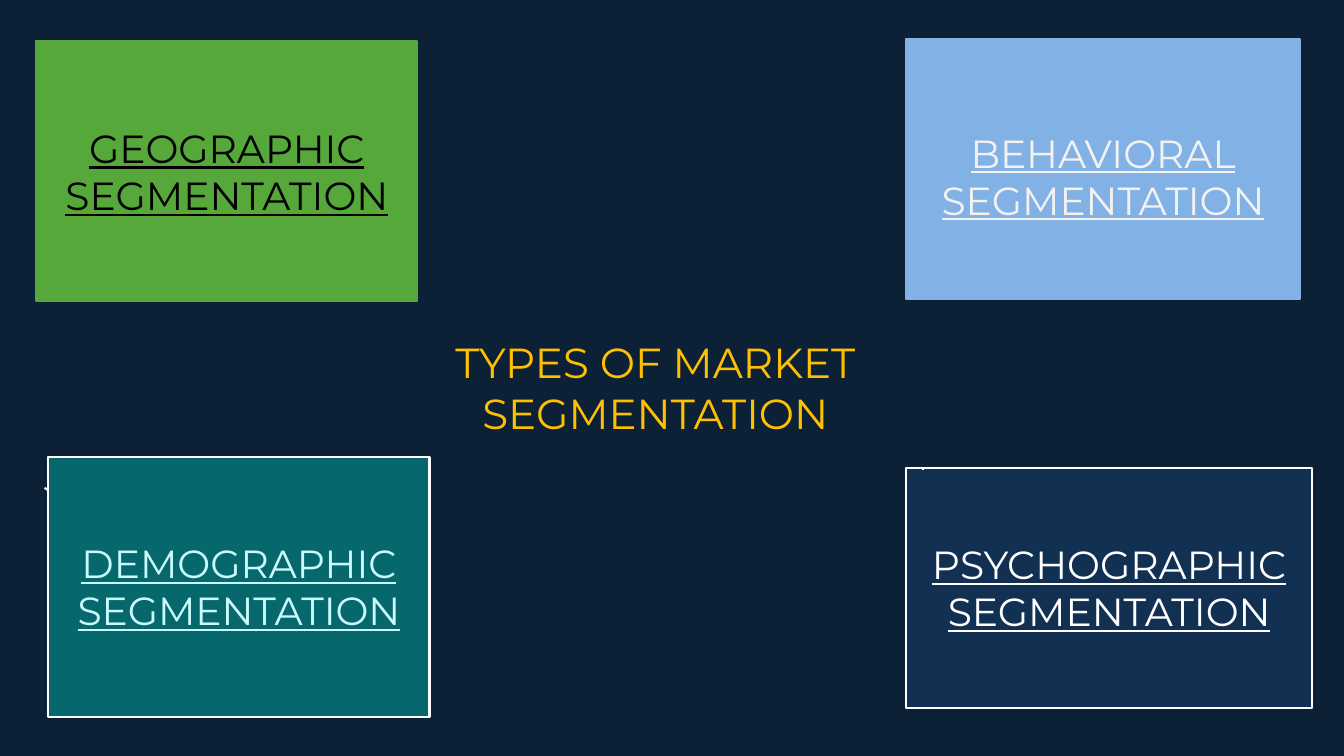
from pptx import Presentation
from pptx import util as u
from pptx.dml.color import RGBColor
from pptx.enum import shapes, text

PX = 9144
FONT = "Montserrat"
COLORS = {
    "background": "0C2036",
    "title": "FFC000",
    "blue": "82B1E5",
    "green": "55A839",
    "navy": "113052",
    "teal": "06686C",
    "white": "FFFFFF",
    "pale": "F2F2F2",
    "black": "000000",
    "aqua": "C9FAFC",
}
RECTANGLE = shapes.MSO_SHAPE.RECTANGLE
CALLOUT = shapes.MSO_SHAPE.LINE_CALLOUT_1
CARDS = [
    ("BEHAVIORAL SEGMENTATION", (899, 39, 390, 258), RECTANGLE, (), "blue", "blue", "pale", 18),
    ("GEOGRAPHIC SEGMENTATION", (36, 41, 378, 258), RECTANGLE, (), "green", "green", "black", 5),
    ("PSYCHOGRAPHIC SEGMENTATION", (899, 464, 402, 238), CALLOUT,
     (0.01, 0.04, 0, 0.04), "navy", "white", "white", 5),
    ("DEMOGRAPHIC SEGMENTATION", (48, 453, 378, 258), CALLOUT,
     (0.12, -0.01, 0.13, 0), "teal", "white", "aqua", 5),
]


def color(name):
    """Return the named colour."""
    return RGBColor.from_string(COLORS[name])


def write(shape, wording, size, color_name, anchor, underline=False, top_inset=5):
    """Write one centred, wrapped paragraph into the shape."""
    frame = shape.text_frame
    frame.word_wrap = True
    frame.auto_size = text.MSO_AUTO_SIZE.NONE
    frame.vertical_anchor = anchor
    frame.margin_left = frame.margin_right = 10 * PX
    frame.margin_top, frame.margin_bottom = top_inset * PX, 5 * PX
    paragraph = frame.paragraphs[0]
    paragraph.alignment = text.PP_ALIGN.CENTER
    run = paragraph.add_run()
    run.text = wording
    run.font.name = FONT
    run.font.size = u.Pt(size)
    run.font.underline = underline
    run.font.color.rgb = color(color_name)


def place_title(slide, box):
    """Place the slide title in the box."""
    title = slide.shapes.title
    title.left, title.top, title.width, title.height = (length * PX for length in box)
    write(title, "TYPES OF MARKET SEGMENTATION", 30, "title", text.MSO_ANCHOR.TOP)


def add_card(slide, wording, box, kind, adjustments, fill, line, ink, top_inset):
    """Add one segmentation card in the box."""
    card = slide.shapes.add_shape(kind, *(length * PX for length in box))
    for index, value in enumerate(adjustments):
        card.adjustments[index] = value
    card.shadow.inherit = False
    card.fill.solid()
    card.fill.fore_color.rgb = color(fill)
    card.line.color.rgb = color(line)
    card.line.width = u.Pt(1.5)
    write(card, wording, 28, ink, text.MSO_ANCHOR.MIDDLE, True, top_inset)


def main():
    """Build and save the presentation."""
    presentation = Presentation()
    presentation.slide_width, presentation.slide_height = 1333 * PX, 750 * PX
    slide = presentation.slides.add_slide(presentation.slide_layouts.get_by_name("Title Only"))
    slide.background.fill.solid()
    slide.background.fill.fore_color.rgb = color("background")
    for card in CARDS:
        add_card(slide, *card)
    place_title(slide, (360, 329, 580, 111))
    presentation.save("out.pptx")


if __name__ == "__main__":
    main()
